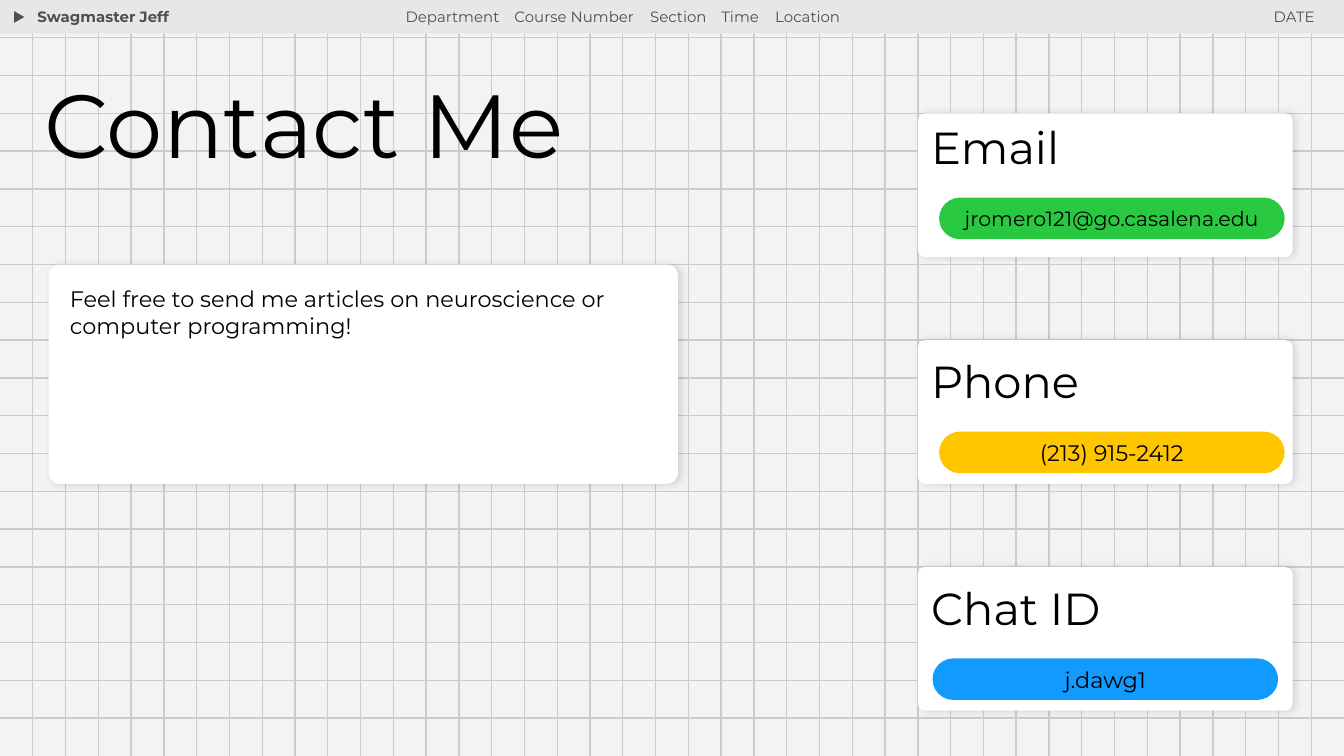
from dataclasses import dataclass

from lxml.etree import SubElement
from pptx import Presentation
from pptx.dml.color import RGBColor
from pptx.enum.shapes import MSO_CONNECTOR as Connector, MSO_SHAPE as Shape
from pptx.enum.text import MSO_ANCHOR as Anchor, MSO_AUTO_SIZE as AutoSize, PP_ALIGN as Align
from pptx.oxml.ns import qn
from pptx.util import Inches, Pt

COLUMNS, ROWS = 41, 20
PAGE_WIDTH = Inches(10)
PAGE_HEIGHT = PAGE_WIDTH * 9 // 16


@dataclass(frozen=True)
class Theme:
    """Colours, font and type sizes of the deck."""
    font: str = "Montserrat"
    paper: str = "F4F2F2"
    grid: str = "CCCCCC"
    bar: str = "E7E7E7"
    muted: str = "4F4F4F"
    ink: str = "000000"
    card: str = "FFFFFF"
    green: str = "28C840"
    yellow: str = "FFC600"
    blue: str = "119BFE"
    title: int = 48
    heading: int = 24
    body: int = 12
    small: int = 11
    menu: int = 8


THEME = Theme()


@dataclass(frozen=True)
class Box:
    """A rectangle measured in grid columns and rows."""
    column: float
    row: float
    wide: float
    tall: float

    def inside(self, column, row, wide, tall):
        """Return a box placed relative to this one."""
        return Box(self.column + column, self.row + row, wide, tall)

    def place(self):
        """Return left, top, width and height in slide units."""
        across, down = PAGE_WIDTH / COLUMNS, PAGE_HEIGHT / ROWS
        return (round(self.column * across), round(self.row * down),
                round(self.wide * across), round(self.tall * down))


def color(value):
    """Turn a hex string into a colour."""
    return RGBColor.from_string(value)


def write(shape, text, size, ink=THEME.ink, align=Align.LEFT, bold=False,
          anchor=Anchor.TOP, wrap=True):
    """Fill a shape with one formatted paragraph."""
    frame = shape.text_frame
    frame.text = text
    frame.word_wrap = wrap
    frame.auto_size = AutoSize.NONE
    frame.vertical_anchor = anchor
    frame.margin_left = frame.margin_right = Inches(0.1)
    frame.margin_top = frame.margin_bottom = Inches(0.1)
    para = frame.paragraphs[0]
    para.alignment = align
    for span in para.runs:
        span.font.name = THEME.font
        span.font.size = Pt(size)
        span.font.bold = bold
        span.font.color.rgb = color(ink)
    return para


def add_text(page, box, text, size, **style):
    """Add a text box and return its paragraph."""
    return write(page.shapes.add_textbox(*box.place()), text, size, **style)


def add_block(page, kind, box, fill):
    """Add a flat filled shape without outline."""
    shape = page.shapes.add_shape(kind, *box.place())
    shape.shadow.inherit = False
    shape.fill.solid()
    shape.fill.fore_color.rgb = color(fill)
    shape.line.fill.background()
    return shape


def add_card(page, box):
    """Add a white rounded card with a soft shadow."""
    card = add_block(page, Shape.ROUNDED_RECTANGLE, box, THEME.card)
    card.adjustments[0] = 0.05
    effects = card.element.spPr.find(qn("a:effectLst"))
    shadow = SubElement(effects, qn("a:outerShdw"), blurRad=str(Pt(4.5)),
                        dist=str(Pt(1.5)), dir="0", algn="bl", rotWithShape="0")
    tint = SubElement(shadow, qn("a:srgbClr"), val=THEME.ink)
    SubElement(tint, qn("a:alpha"), val="12000")


def add_rule(page, box):
    """Add one thin grid line along a box."""
    left, top, width, height = box.place()
    rule = page.shapes.add_connector(Connector.STRAIGHT, left, top, left + width, top + height)
    rule.line.color.rgb = color(THEME.grid)
    rule.line.width = Pt(0.75)
    SubElement(rule.element.spPr, qn("a:effectLst"))


def add_grid(page, box):
    """Rule the box into square paper."""
    for row in range(1, box.tall):
        add_rule(page, box.inside(0, row, box.wide, 0))
    for column in range(1, box.wide):
        add_rule(page, box.inside(column, 0, 0, box.tall))


def add_menu_bar(page, box):
    """Draw the top bar with owner, menu items and date."""
    add_block(page, Shape.RECTANGLE, box, THEME.bar)
    arrow = add_block(page, Shape.ISOSCELES_TRIANGLE, box.inside(0.37, 0.28, 0.45, 0.34), THEME.muted)
    arrow.rotation = 90
    arrow.line.color.rgb = color(THEME.bar)
    arrow.line.width = Pt(0.75)
    style = {"ink": THEME.muted, "wrap": False}
    add_text(page, box.inside(0.74, -0.15, 5.25, 1.67), "Swagmaster Jeff", THEME.menu, bold=True, **style)
    items = ("Department", "Course Number", "Section", "Time", "Location")
    menu = add_text(page, box.inside(11.97, -0.15, 17.1, 1.67), "\t".join(items), THEME.menu, **style)
    stops = SubElement(menu._p.get_or_add_pPr(), qn("a:tabLst"))
    for stop in (0.81, 1.82, 2.35, 2.75):
        SubElement(stops, qn("a:tab"), pos=str(Inches(stop)), algn="l")
    add_text(page, box.inside(33.66, -0.15, 6.85, 1.67), "DATE", THEME.menu, align=Align.RIGHT, **style)


def add_title(page, box, text):
    """Place the title placeholder above the grid."""
    title = page.shapes.title
    title.left, title.top, title.width, title.height = box.place()
    write(title, text, THEME.title).line_spacing = 0.9
    title.element.getparent().append(title.element)


def add_message(page, box, text):
    """Draw the card with the invitation."""
    add_card(page, box)
    add_text(page, box.inside(0.25, 0.2, 18.2, 2.17), text, THEME.body)


def add_contact(page, box, heading, detail, fill, size, heading_row, pill_at):
    """Draw a contact card with a heading and a coloured pill."""
    add_card(page, box)
    pill = add_block(page, Shape.ROUNDED_RECTANGLE, box.inside(*pill_at, 10.54, 1.1), fill)
    pill.adjustments[0] = 0.5
    write(pill, detail, size, align=Align.CENTER, anchor=Anchor.MIDDLE)
    add_text(page, box.inside(0, heading_row, 6.85, 2.17), heading, THEME.heading, wrap=False)


def build_contact_page(deck):
    """Compose the contact slide."""
    page = deck.slides.add_slide(deck.slide_layouts[5])
    page.background.fill.solid()
    page.background.fill.fore_color.rgb = color(THEME.paper)
    add_grid(page, Box(0, 0, COLUMNS, ROWS))
    add_menu_bar(page, Box(0, 0, COLUMNS, 0.89))
    add_title(page, Box(0.95, 1.8, 22.5, 3.3), "Contact Me")
    add_message(page, Box(1.48, 7, 19.2, 5.8),
                "Feel free to send me articles on neuroscience or computer programming!")
    contacts = (
        ("Email", "jromero121@go.casalena.edu", THEME.green, THEME.small, -0.2, (0.65, 2.23)),
        ("Phone", "(213) 915-2412", THEME.yellow, THEME.body, 0, (0.65, 2.42)),
        ("Chat ID", "j.dawg1", THEME.blue, THEME.body, 0, (0.45, 2.42)),
    )
    for index, contact in enumerate(contacts):
        add_contact(page, Box(28, 3 + 6 * index, 11.43, 3.8), *contact)


def main():
    """Build and save the deck."""
    deck = Presentation()
    deck.slide_width, deck.slide_height = PAGE_WIDTH, PAGE_HEIGHT
    build_contact_page(deck)
    deck.save("out.pptx")


if __name__ == "__main__":
    main()
